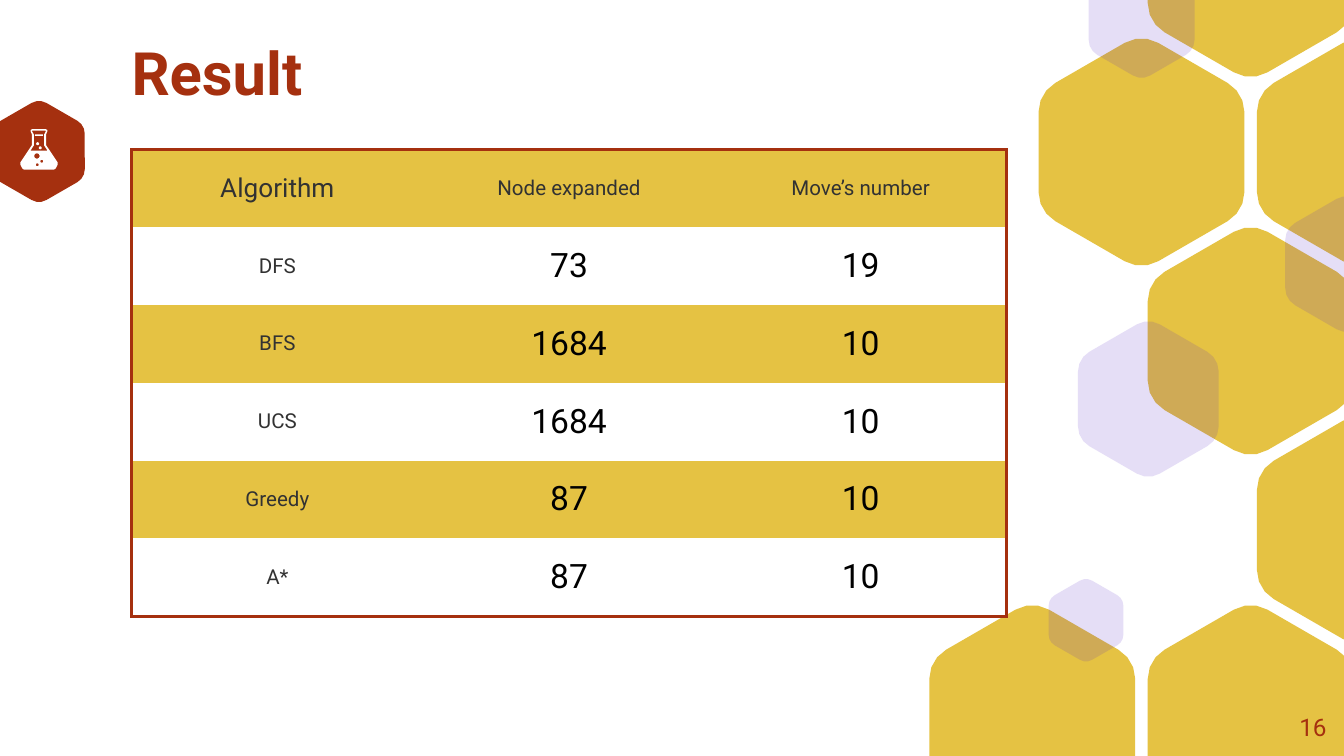
from itertools import product
from math import cos, pi, radians, sin

from pptx import Presentation
from pptx.dml.color import RGBColor
from pptx.enum.shapes import MSO_SHAPE as Preset
from pptx.enum.text import MSO_ANCHOR as Anchor, PP_ALIGN as Align
from pptx.oxml.ns import qn
from pptx.util import Pt
from lxml.etree import SubElement

RED = RGBColor(0xA5, 0x30, 0x0F)
GOLD = RGBColor(0xE5, 0xC2, 0x43)
VIOLET = RGBColor(0x53, 0x22, 0xC9)
CHARCOAL = RGBColor(0x32, 0x32, 0x32)
BLACK = RGBColor(0, 0, 0)
WHITE = RGBColor(255, 255, 255)

SLIDE_W, SLIDE_H = 720, 405

RESULTS = [
    ("Algorithm", "Node expanded", "Move’s number"),
    ("DFS", "73", "19"),
    ("BFS", "1684", "10"),
    ("UCS", "1684", "10"),
    ("Greedy", "87", "10"),
    ("A*", "87", "10"),
]
COLUMN_W, ROW_H = 156.25, 41.7
PLAIN_STYLE = "{2D5ABB26-0587-4C30-8999-92F81FD0307C}"

HONEYCOMB = [(-2, 2), (0, 2), (1, -1), (0, -2), (0, 0), (-1, -1)]
LAST_CELL = (1, 1)
VIOLET_CELLS = [(721.4, 141.5, 65.8), (581.8, 332.3, 40),
                (611.6, 10.4, 56.7), (615.2, 213.8, 75.4)]

FLASK_X = 20.9
FLASK_OUTER = [(3.6, 69.2), (4.5, 69.7), (4.5, 70.4), (3.8, 72), (3.8, 77.8),
               (10, 87.1), (10, 88.1), (9, 90.2), (8, 90.9)]
FLASK_INNER = [(3.6, 70), (3.6, 70.6), (2.8, 72), (2.8, 78), (4.6, 80.8)]
FLASK_HOLES = [(19.8, 83.6, 1.5), (22.4, 86.4, 0.8), (20, 88.3, 0.8)]
FLASK_BUBBLES = [(21.6, 79.2, 0.8), (20.2, 77, 0.8)]


def write(frame, text, size, color, bold=False, align=Align.LEFT,
          spacing=None, font="Roboto"):
    paragraph = frame.paragraphs[0]
    paragraph.alignment = align
    paragraph.line_spacing = spacing
    run = paragraph.add_run()
    run.text = text
    run.font.name = font
    run.font.size = Pt(size)
    run.font.bold = bold
    run.font.color.rgb = color


def mirrored(half):
    return ([(FLASK_X + x, y) for x, y in half]
            + [(FLASK_X - x, y) for x, y in reversed(half)])


def circle(x, y, radius, steps=8):
    angles = [2 * pi * i / steps for i in range(steps)]
    return [(x + radius * cos(a), y + radius * sin(a)) for a in angles]


def rounded_hexagon(x, y, width):
    radius = 0.163 * width
    reach = (width / 2 - radius) / cos(pi / 6)
    points = []
    for corner, turn in product(range(30, 390, 60), range(-30, 31, 20)):
        axis, angle = radians(corner), radians(corner + turn)
        across = x + reach * cos(axis) + radius * cos(angle)
        down = y + reach * sin(axis) + radius * sin(angle)
        points.append((across, min(max(down, 0), SLIDE_H)))
    return points


class Canvas:
    def __init__(self, slide):
        self.slide = slide
        self.shapes = slide.shapes

    def paint(self, shape, color, opacity=None):
        shape.shadow.inherit = False
        shape.line.fill.background()
        shape.fill.solid()
        shape.fill.fore_color.rgb = color
        if opacity:
            rgb = shape.element.xpath("./p:spPr/a:solidFill/a:srgbClr")[0]
            SubElement(rgb, qn("a:alpha"), val=str(opacity * 1000))

    def outline(self, contours, color, opacity=None):
        rings = [[(Pt(x), Pt(y)) for x, y in ring] for ring in contours]
        builder = self.shapes.build_freeform(*rings[0][0])
        builder.add_line_segments(rings[0][1:], close=True)
        for ring in rings[1:]:
            builder.move_to(*ring[0])
            builder.add_line_segments(ring[1:], close=True)
        self.paint(builder.convert_to_shape(), color, opacity)

    def hexagon(self, x, y, width, color, opacity=None):
        self.outline([rounded_hexagon(x, y, width)], color, opacity)

    def honeycomb_cell(self, column, row):
        self.hexagon(670 + 58.5 * column, 182.7 + 101.2 * row, 110.3, GOLD)

    def preset(self, kind, x, y, width, height, color):
        shape = self.shapes.add_shape(kind, Pt(x), Pt(y), Pt(width), Pt(height))
        self.paint(shape, color)

    def text(self, x, y, width, height, content, **style):
        frame = self.shapes.add_textbox(
            Pt(x), Pt(y), Pt(width), Pt(height)).text_frame
        frame.word_wrap = True
        frame.vertical_anchor = Anchor.MIDDLE
        frame.margin_left = frame.margin_right = 0
        frame.margin_top = frame.margin_bottom = 0
        write(frame, content, **style)

    def table(self, x, y, rows):
        height, width = len(rows), len(rows[0])
        table = self.shapes.add_table(
            height, width, Pt(x), Pt(y),
            Pt(COLUMN_W * width), Pt(ROW_H * height)).table
        table._tbl.tblPr.find(qn("a:tableStyleId")).text = PLAIN_STYLE
        for column in table.columns:
            column.width = Pt(COLUMN_W)
        for r, row in enumerate(rows):
            table.rows[r].height = Pt(ROW_H)
            for c, content in enumerate(row):
                cell = table.cell(r, c)
                cell.vertical_anchor = Anchor.MIDDLE
                cell.margin_top = cell.margin_bottom = Pt(5)
                cell.fill.solid()
                cell.fill.fore_color.rgb = WHITE if r % 2 else GOLD
                number = r > 0 and c > 0
                size = 18 if number else 14 if r == c == 0 else 11
                write(cell.text_frame, content, size=size,
                      color=BLACK if number else CHARCOAL, align=Align.CENTER)
                edges = {"a:lnL": c == 0, "a:lnR": c == width - 1,
                         "a:lnT": r == 0, "a:lnB": r == height - 1}
                self.borders(cell, [edge for edge in edges if edges[edge]])

    def borders(self, cell, edges):
        properties = cell._tc.get_or_add_tcPr()
        for position, edge in enumerate(edges):
            line = SubElement(properties, qn(edge), w=str(Pt(1.5)))
            properties.insert(position, line)
            fill = SubElement(line, qn("a:solidFill"))
            SubElement(fill, qn("a:srgbClr"), val=str(RED))


def main():
    deck = Presentation()
    deck.slide_width, deck.slide_height = Pt(SLIDE_W), Pt(SLIDE_H)
    canvas = Canvas(deck.slides.add_slide(deck.slide_layouts[6]))

    canvas.hexagon(FLASK_X, 81.2, 49, RED)
    for cell in HONEYCOMB:
        canvas.honeycomb_cell(*cell)
    for x, y, width in VIOLET_CELLS:
        canvas.hexagon(x, y, width, VIOLET, opacity=15)
    canvas.honeycomb_cell(*LAST_CELL)

    canvas.text(667.5, 373.7, 43.2, 31, "16",
                size=13, color=RED, align=Align.RIGHT)
    canvas.table(70.5, 80, RESULTS)

    flask = [mirrored(FLASK_OUTER), mirrored(FLASK_INNER)]
    canvas.outline(flask + [circle(*hole) for hole in FLASK_HOLES], WHITE)
    for x, y, radius in FLASK_BUBBLES:
        canvas.preset(Preset.OVAL, x - radius, y - radius,
                      2 * radius, 2 * radius, WHITE)
    canvas.preset(Preset.ROUNDED_RECTANGLE, 18.8, 72, 4.2, 0.8, WHITE)

    canvas.text(70.5, 22.3, 457.2, 37.4, "Result",
                size=32, color=RED, bold=True, spacing=0.9)
    deck.save("out.pptx")


if __name__ == "__main__":
    main()
